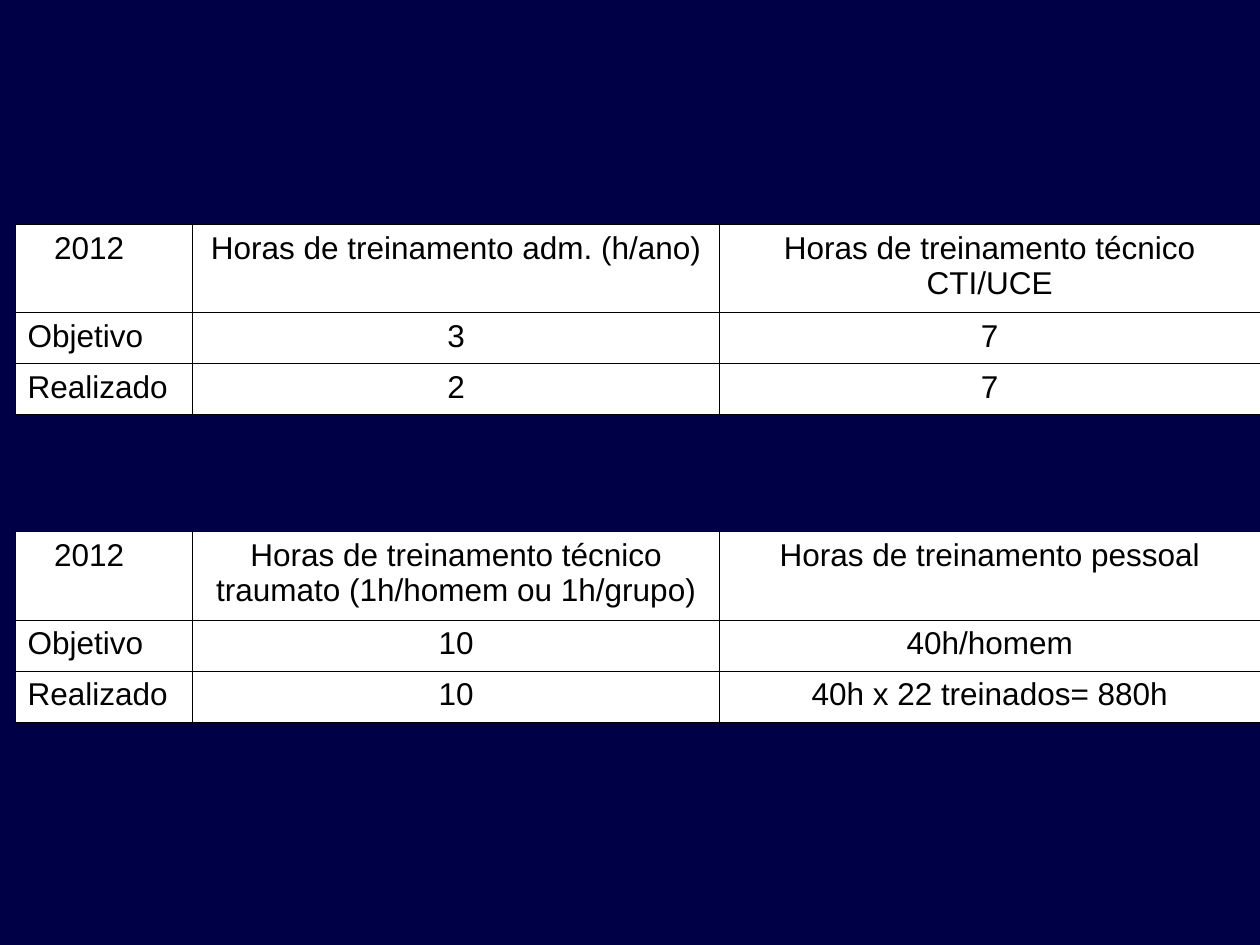
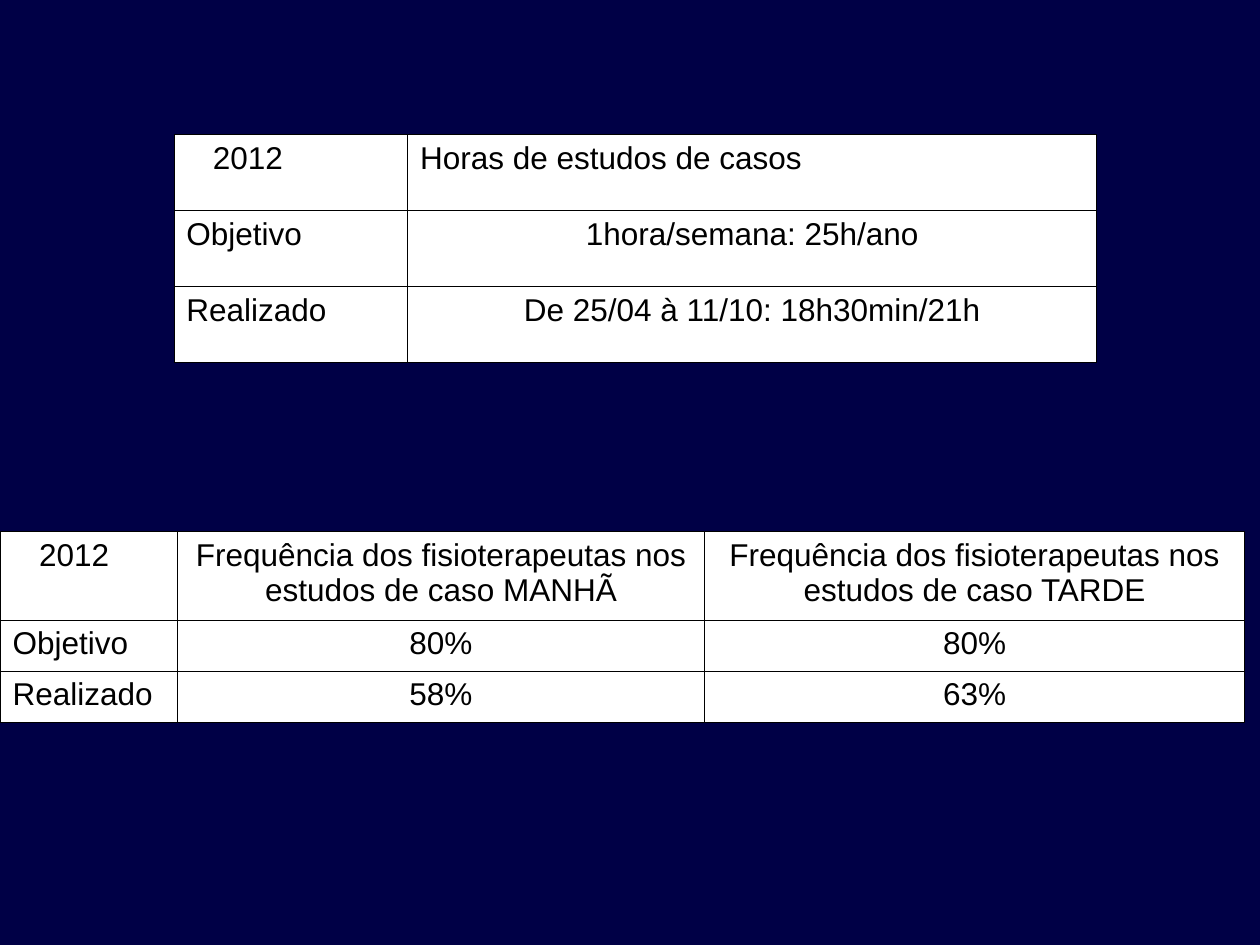
from dataclasses import dataclass

from lxml import etree
from pptx import Presentation
from pptx import util as u
from pptx.dml.color import RGBColor
from pptx.enum import text
from pptx.oxml.ns import qn

# Shared look
NAVY = RGBColor(0x00, 0x00, 0x46)
WHITE = RGBColor(0xFF, 0xFF, 0xFF)
BLACK = RGBColor(0x00, 0x00, 0x00)
FONT, SIZE = "Arial", u.Pt(18)
BORDER = u.Pt(0.45)
YEAR, ROW_LABELS = "2012", ("Objetivo", "Realizado")
YEAR_INDENT = u.Inches(0.21)
LEFT, CENTER = text.PP_ALIGN.LEFT, text.PP_ALIGN.CENTER

# Slide size and grid: one unit is a hundredth of the width or height
WIDTH, HEIGHT = u.Inches(10), u.Inches(7.5)
WIDE_COLS = (14.1, 41.8, 42.9)
WIDE_ROWS = (9.33, 5.4, 5.4)
CASE_COLS = (18.55, 54.7)
CASE_ROWS = (8.04,) * 3
UPPER, LOWER = 23.73, 56.27


def across(share: float) -> u.Emu:
    return u.Emu(round(WIDTH * share / 100))


def down(share: float) -> u.Emu:
    return u.Emu(round(HEIGHT * share / 100))


@dataclass(frozen=True)
class Indicator:
    """One data column: its heading, the goal and the result."""
    heading: str
    goal: str
    result: str


@dataclass(frozen=True)
class YearTable:
    left: float
    top: float
    indicators: tuple[Indicator, ...]
    cols: tuple[float, ...] = WIDE_COLS
    rows: tuple[float, ...] = WIDE_ROWS
    heading_align: text.PP_ALIGN = CENTER


# Content
SLIDES = (
    (
        YearTable(1.2, UPPER, (
            Indicator("Horas de treinamento adm. (h/ano)", "3", "2"),
            Indicator("Horas de treinamento técnico CTI/UCE", "7", "7"),
        )),
        YearTable(1.2, LOWER, (
            Indicator("Horas de treinamento técnico traumato (1h/homem ou 1h/grupo)",
                      "10", "10"),
            Indicator("Horas de treinamento pessoal",
                      "40h/homem", "40h x 22 treinados= 880h"),
        )),
    ),
    (
        YearTable(13.8, 14.27, (
            Indicator("Horas de estudos de casos", "1hora/semana: 25h/ano",
                      "De 25/04 à 11/10: 18h30min/21h"),
        ), CASE_COLS, CASE_ROWS, LEFT),
        YearTable(0, LOWER, (
            Indicator("Frequência dos fisioterapeutas nos estudos de caso MANHÃ",
                      "80%", "58%"),
            Indicator("Frequência dos fisioterapeutas nos estudos de caso TARDE",
                      "80%", "63%"),
        )),
    ),
)


def add_borders(cell) -> None:
    tc_pr = cell._tc.get_or_add_tcPr()
    for side in ("lnL", "lnR", "lnT", "lnB"):
        ln = etree.SubElement(tc_pr, qn(f"a:{side}"), w=str(BORDER))
        fill = etree.SubElement(ln, qn("a:solidFill"))
        etree.SubElement(fill, qn("a:srgbClr"), val=str(BLACK))


def fill_cell(cell, words: str, align: text.PP_ALIGN, indent: int = 0) -> None:
    add_borders(cell)
    cell.fill.solid()
    cell.fill.fore_color.rgb = WHITE
    cell.margin_left = cell.margin_right = u.Inches(0.1)
    cell.margin_top = cell.margin_bottom = u.Inches(0.05)
    p = cell.text_frame.paragraphs[0]
    p.alignment = align
    if indent:
        p._p.get_or_add_pPr().set("marL", str(indent))
    r = p.add_run()
    r.text = words
    r.font.name, r.font.size = FONT, SIZE
    r.font.color.rgb = BLACK


def add_year_table(s, spec_: YearTable) -> None:
    frame = s.shapes.add_table(
        len(spec_.rows), len(spec_.cols), across(spec_.left), down(spec_.top),
        across(sum(spec_.cols)), down(sum(spec_.rows)))
    table = frame.table
    table.first_row = table.horz_banding = False
    for column, share in zip(table.columns, spec_.cols):
        column.width = across(share)
    for row, share in zip(table.rows, spec_.rows):
        row.height = down(share)

    # Year and row labels
    fill_cell(table.cell(0, 0), YEAR, LEFT, YEAR_INDENT)
    for i, label in enumerate(ROW_LABELS, start=1):
        fill_cell(table.cell(i, 0), label, LEFT)

    # Indicators
    for j, item in enumerate(spec_.indicators, start=1):
        fill_cell(table.cell(0, j), item.heading, spec_.heading_align)
        fill_cell(table.cell(1, j), item.goal, CENTER)
        fill_cell(table.cell(2, j), item.result, CENTER)


def main() -> None:
    prs = Presentation()
    prs.slide_width, prs.slide_height = WIDTH, HEIGHT
    for tables in SLIDES:
        s = prs.slides.add_slide(prs.slide_layouts[6])
        s.background.fill.solid()
        s.background.fill.fore_color.rgb = NAVY
        for year_table in tables:
            add_year_table(s, year_table)
    prs.save("out.pptx")


if __name__ == "__main__":
    main()
